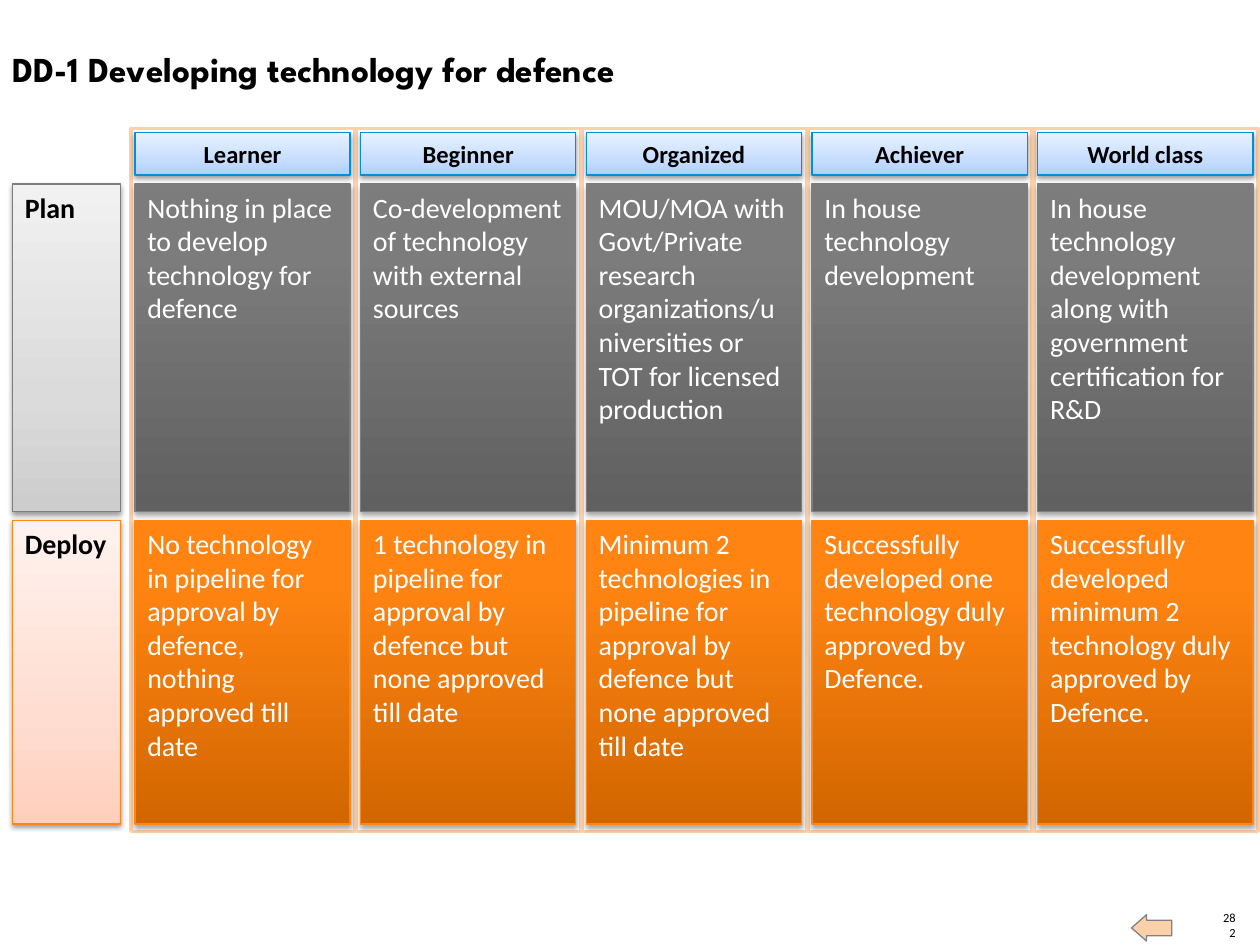
import dataclasses

import lxml.etree
import pptx
import pptx.dml.color
import pptx.enum.shapes
import pptx.enum.text
import pptx.oxml.ns
import pptx.util

Cm = pptx.util.Cm
Pt = pptx.util.Pt
qn = pptx.oxml.ns.qn
Anchor = pptx.enum.text.MSO_ANCHOR
Align = pptx.enum.text.PP_ALIGN
Shape = pptx.enum.shapes.MSO_SHAPE


@dataclasses.dataclass(frozen=True)
class Style:
    """Gradient stops from bottom to top, outline, text and shadow of a tile."""
    stops: tuple
    line: str
    text: str
    size: float = 16
    bold: bool = False
    shadow: tuple = (38, 1.6)
    anchor: Anchor = Anchor.TOP
    align: Align = Align.LEFT


class Theme:
    """Colours, fonts and type sizes of the slide."""
    black, white, peach, grey = "000000", "FFFFFF", "FCD1AA", "808080"
    body_font, title_font = "Calibri", "League Spartan"
    title_size, number_size = 20, 7.1
    header = Style(((0, "AECFFF"), (35, "C6DDFF"), (100, "E9F2FF")), "008FDC", black,
                   size=14, bold=True, anchor=Anchor.MIDDLE, align=Align.CENTER)
    plan_label = Style(((0, "CDCDCD"), (35, "DBDBDB"), (100, "F1F1F1")), "7D7D7D", black, bold=True)
    deploy_label = Style(((0, "FFCFBD"), (35, "FFDDD1"), (100, "FFF2EE")), "FF8615", black, bold=True)
    plan = Style(((0, "606060"), (80, "7C7C7C"), (100, "7D7D7D")), "7D7D7D", white, shadow=(35, 1.8))
    deploy = Style(((0, "D26600"), (80, "FF8412"), (100, "FF8514")), "FF8615", white, shadow=(35, 1.8))


LEVELS = ("Learner", "Beginner", "Organized", "Achiever", "World class")
PLAN = (
    "Nothing in place to develop technology for defence",
    "Co-development of technology with external sources",
    "MOU/MOA with Govt/Private research organizations/universities or TOT for licensed production",
    "In house technology development",
    "In house technology development along with government certification for R&D",
)
DEPLOY = (
    "No technology in pipeline for approval by defence, nothing approved till date",
    "1 technology in pipeline for approval by defence but none approved till date",
    "Minimum 2 technologies in pipeline for approval by defence but none approved till date",
    "Successfully developed one technology duly approved by Defence.",
    "Successfully developed minimum 2 technology duly approved by Defence.",
)
HEADER_ROW, PLAN_ROW, DEPLOY_ROW = (2.67, 0.86), (3.71, 6.6), (10.49, 6.12)
LABEL_LEFT, LABEL_WIDTH = 0.25, 2.18
FRAME_LEFT, FRAME_WIDTH, PITCH = 2.64, 4.52, 4.55
TILE_INSET, TILE_WIDTH = 0.08, 4.34


def rgb(value):
    """Turn a hex string into a colour."""
    return pptx.dml.color.RGBColor.from_string(value)


def write(box, text, size, color, font=Theme.body_font, bold=False,
          align=Align.LEFT, anchor=Anchor.TOP):
    """Put one formatted paragraph into a box."""
    frame = box.text_frame
    frame.text = text
    frame.word_wrap = True
    frame.auto_size = pptx.enum.text.MSO_AUTO_SIZE.NONE
    frame.vertical_anchor = anchor
    paragraph = frame.paragraphs[0]
    paragraph.alignment = align
    span = paragraph.runs[0]
    span.font.name, span.font.size, span.font.bold = font, Pt(size), bold
    span.font.color.rgb = rgb(color)


def add_outlined(page, kind, left, top, width, height, line, weight):
    """Add a preset shape with an outline and no shadow."""
    box = page.shapes.add_shape(kind, Cm(left), Cm(top), Cm(width), Cm(height))
    box.shadow.inherit = False
    box.line.color.rgb = rgb(line)
    box.line.width = Pt(weight)
    return box


def set_solid(box, color):
    """Fill a shape with one colour."""
    box.fill.solid()
    box.fill.fore_color.rgb = rgb(color)


def set_gradient(box, stops):
    """Fill a shape with a gradient rising from its bottom edge."""
    box.fill.gradient()
    box.fill.gradient_angle = 90
    stop_list = next(box.element.iter(qn("a:gsLst")))
    stop_list.clear()
    for position, color in stops:
        stop = lxml.etree.SubElement(stop_list, qn("a:gs"), pos=str(position * 1000))
        lxml.etree.SubElement(stop, qn("a:srgbClr"), val=color)


def set_shadow(box, opacity, distance):
    """Cast a soft shadow straight down."""
    effects = next(box.element.iter(qn("a:effectLst")))
    shadow = lxml.etree.SubElement(
        effects, qn("a:outerShdw"), blurRad=str(Pt(3.1)), dist=str(Pt(distance)),
        dir="5400000", rotWithShape="0")
    color = lxml.etree.SubElement(shadow, qn("a:srgbClr"), val=Theme.black)
    lxml.etree.SubElement(color, qn("a:alpha"), val=str(opacity * 1000))


def add_tile(page, left, row, width, text, style):
    """Add a shaded rectangle with text in a row of the grid."""
    top, height = row
    box = add_outlined(page, Shape.RECTANGLE, left, top, width, height, style.line, 0.75)
    set_gradient(box, style.stops)
    set_shadow(box, *style.shadow)
    write(box, text, style.size, style.text, bold=style.bold,
          align=style.align, anchor=style.anchor)


def add_title(page, text):
    """Place and format the title placeholder."""
    title = page.shapes.title
    title.left, title.top, title.width, title.height = Cm(0), Cm(0.84), Cm(21.84), Cm(1.12)
    write(title, text, Theme.title_size, Theme.black, Theme.title_font, bold=True)


def add_footer(page, number):
    """Add the page number and the back arrow."""
    box = page.shapes.add_textbox(Cm(24.61), Cm(18.64), Cm(0.3), Cm(0.3))
    write(box, number, Theme.number_size, Theme.black, align=Align.RIGHT, anchor=Anchor.BOTTOM)
    frame = box.text_frame
    frame.margin_left = frame.margin_top = frame.margin_right = frame.margin_bottom = 0
    arrow = add_outlined(page, Shape.RIGHT_ARROW, 22.81, 18.44, 0.81, 0.53, Theme.grey, 0.75)
    arrow.rotation = 180
    arrow.adjustments[0], arrow.adjustments[1] = 0.59, 0.57
    set_solid(arrow, Theme.peach)


def add_grid(page):
    """Add the row labels, the column frames and the tiles."""
    add_tile(page, LABEL_LEFT, PLAN_ROW, LABEL_WIDTH, "Plan", Theme.plan_label)
    add_tile(page, LABEL_LEFT, DEPLOY_ROW, LABEL_WIDTH, "Deploy", Theme.deploy_label)
    lefts = [FRAME_LEFT + PITCH * column for column in range(len(LEVELS))]
    for left in lefts:
        frame = add_outlined(page, Shape.RECTANGLE, left, 2.59, FRAME_WIDTH, 14.17, Theme.peach, 2)
        set_solid(frame, Theme.white)
    rows = ((PLAN_ROW, PLAN, Theme.plan), (DEPLOY_ROW, DEPLOY, Theme.deploy),
            (HEADER_ROW, LEVELS, Theme.header))
    for row, texts, style in rows:
        for left, text in zip(lefts, texts):
            add_tile(page, left + TILE_INSET, row, TILE_WIDTH, text, style)


def main():
    """Build the slide and save the deck."""
    deck = pptx.Presentation()
    deck.slide_width, deck.slide_height = Cm(25.4), Cm(19.05)
    page = deck.slides.add_slide(deck.slide_layouts[5])
    add_footer(page, "282")
    add_title(page, "DD-1 Developing technology for defence")
    add_grid(page)
    deck.save("out.pptx")


if __name__ == "__main__":
    main()
